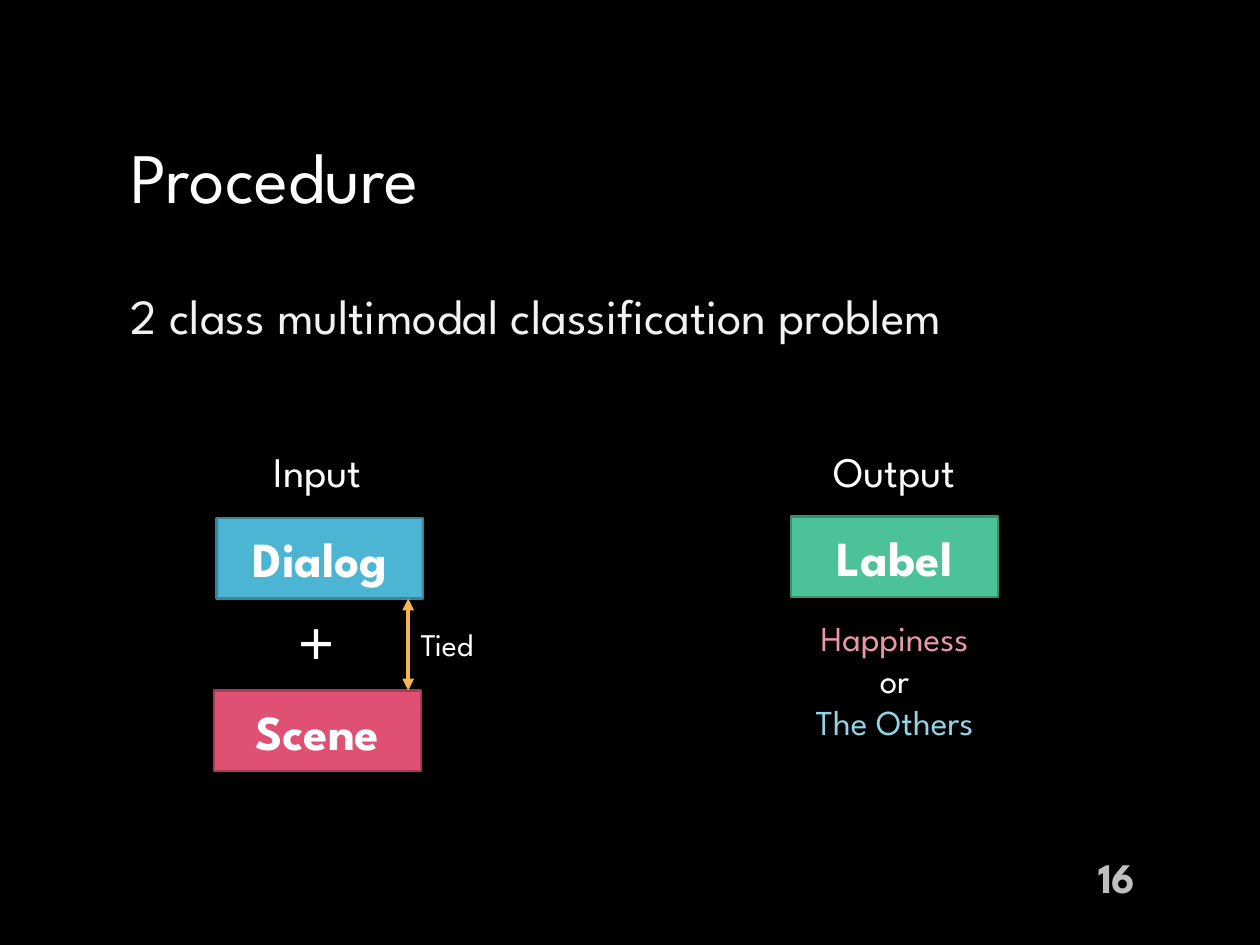
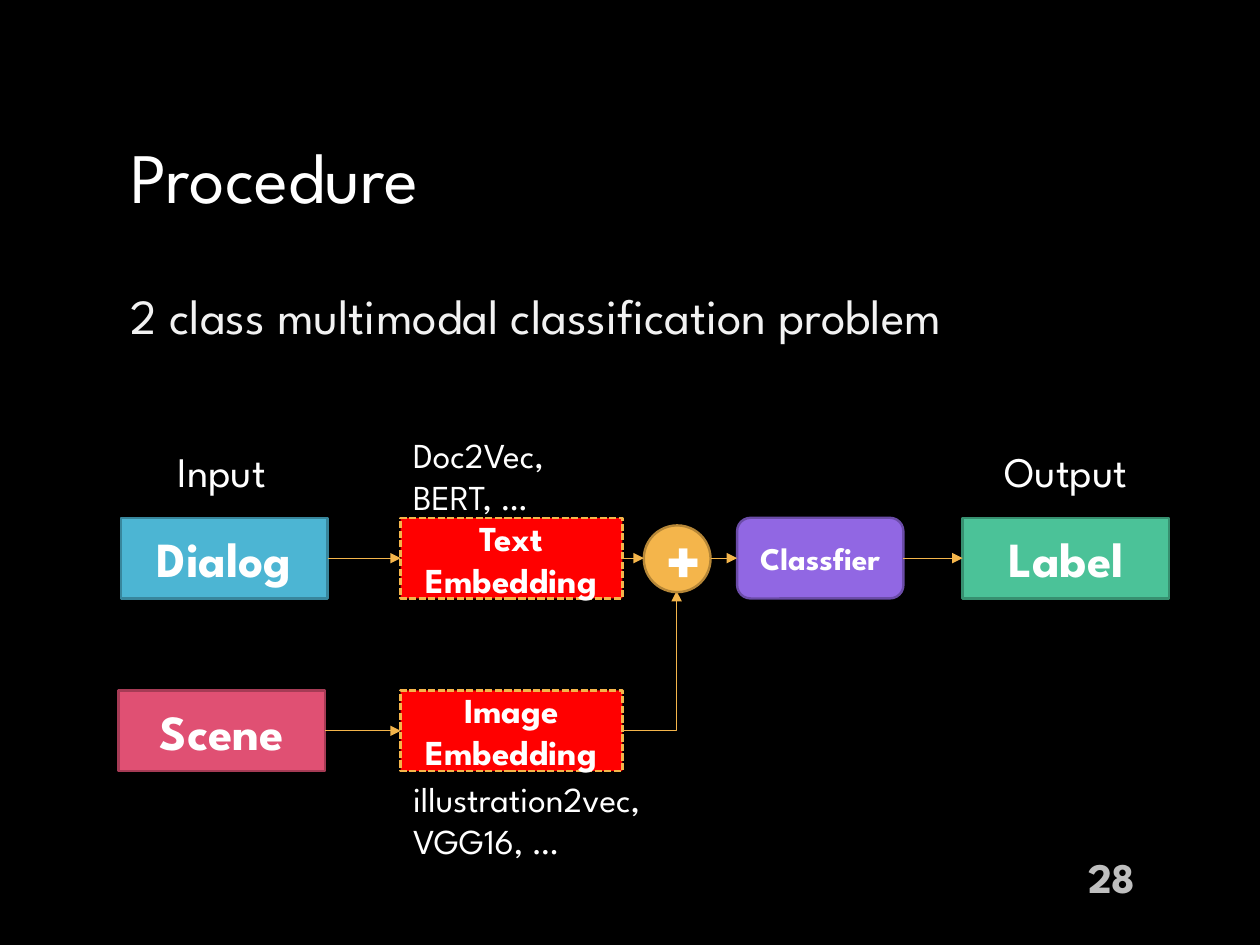
from lxml import etree
from pptx import Presentation
from pptx.dml.color import RGBColor
from pptx.enum.dml import MSO_LINE
from pptx.enum.shapes import MSO_CONNECTOR, MSO_SHAPE
from pptx.enum.text import MSO_ANCHOR, MSO_AUTO_SIZE, PP_ALIGN
from pptx.oxml.ns import qn
from pptx.util import Pt

PX = 9144  # EMU per px, 100 px to the inch
FONT = "League Spartan"
WHITE, BODY_TEXT, NUMBER_GREY = "FFFFFF", "F2F2F2", "BFBFBF"
BLUE, GREEN, PINK = ("4CB5D3", "38869C"), ("4BC298", "379070"), ("E05073", "A63B55")
ORANGE, PURPLE, RED = ("F4B54B", "B58637"), ("9167E3", "6B4CA8"), ("FF0000", "F4B54B")
ARROW = ORANGE[0]
LEFT, CENTER, RIGHT = PP_ALIGN.LEFT, PP_ALIGN.CENTER, PP_ALIGN.RIGHT
TOP, MIDDLE = MSO_ANCHOR.TOP, MSO_ANCHOR.MIDDLE
GROW = MSO_AUTO_SIZE.SHAPE_TO_FIT_TEXT
RECTANGLE, ROUNDED, OVAL = MSO_SHAPE.RECTANGLE, MSO_SHAPE.ROUNDED_RECTANGLE, MSO_SHAPE.OVAL
STRAIGHT, ELBOW = MSO_CONNECTOR.STRAIGHT, MSO_CONNECTOR.ELBOW
DASH = MSO_LINE.SQUARE_DOT
SITE_LEFT, SITE_RIGHT = 1, 3
color = RGBColor.from_string

BOX_WIDTH, BOX_HEIGHT = 164, 64
DIALOG_TOP, SCENE_TOP = 411, 548
DIALOG_MIDDLE, SCENE_MIDDLE = 443, 580


def add_text(slide, text, box, size, text_color=WHITE, bold=False, align=CENTER,
             anchor=TOP, preset=None, colors=None, dash=None, auto_size=None):
    """Add a text box, or a preset shape filled and outlined with colors."""
    left, top, width, height = (value * PX for value in box)
    if preset is None:
        shape = slide.shapes.add_textbox(left, top, width, height)
    else:
        shape = slide.shapes.add_shape(preset, left, top, width, height)
        shape.shadow.inherit = False
        shape.fill.solid()
        shape.fill.fore_color.rgb = color(colors[0])
        shape.line.color.rgb = color(colors[1])
        shape.line.width = Pt(1.35)
        if dash:
            shape.line.dash_style = dash
    frame = shape.text_frame
    frame.text = text
    frame.word_wrap = True
    frame.vertical_anchor = anchor
    if auto_size:
        frame.auto_size = auto_size
    for paragraph in frame.paragraphs:
        paragraph.alignment = align
        font = paragraph.runs[0].font
        font.name, font.size, font.bold = FONT, Pt(size), bold
        font.color.rgb = color(text_color)
    return shape


def add_arrow(slide, start, end, kind=STRAIGHT, width=0.75, ends=("tailEnd",)):
    connector = slide.shapes.add_connector(kind, *(value * PX for value in start + end))
    connector.line.color.rgb = color(ARROW)
    connector.line.width = Pt(width)
    line = connector.line._get_or_add_ln()
    for name in ends:
        etree.SubElement(line, qn(f"a:{name}"), type="triangle")
    etree.SubElement(connector._element.spPr, qn("a:effectLst"))
    return connector


presentation = Presentation()
presentation.slide_width, presentation.slide_height = 1000 * PX, 750 * PX

# Both slides: heading, page number, input boxes and output box
slides = []
for number, input_left, output_left, label_top in (("16", 172, 628, 410), ("28", 96, 764, 411)):
    slide = presentation.slides.add_slide(presentation.slide_layouts[6])
    slide.background.fill.solid()
    slide.background.fill.fore_color.rgb = color("000000")
    add_text(slide, "Procedure", (94, 94, 812, 90), 40.5, align=LEFT, anchor=MIDDLE)
    subtitle = add_text(slide, "2 class multimodal classification problem",
                        (94, 222, 812, 64), 28, BODY_TEXT, align=LEFT)
    subtitle.text_frame.paragraphs[0].space_before = Pt(5.6)
    subtitle.text_frame.paragraphs[0].space_after = Pt(6)
    add_text(slide, number, (781, 676, 130, 40), 24, NUMBER_GREY, bold=True,
             align=RIGHT, anchor=MIDDLE)
    for heading, left in (("Input", input_left + 8), ("Output", output_left + 10)):
        add_text(slide, heading, (left, 349, 144, 50), 24, auto_size=GROW)
    boxes = {}
    for name, left, top, colors in (("Dialog", input_left, DIALOG_TOP, BLUE),
                                    ("Label", output_left, label_top, GREEN),
                                    ("Scene", input_left - 2, SCENE_TOP, PINK)):
        boxes[name] = add_text(slide, name, (left, top, BOX_WIDTH, BOX_HEIGHT), 28, bold=True,
                               anchor=MIDDLE, preset=RECTANGLE, colors=colors)
    slides.append((slide, boxes))

# Slide 1: tied inputs and the two classes
slide, boxes = slides[0]
add_text(slide, "＋", (214, 486, 75, 50), 24, bold=True, auto_size=GROW)
add_text(slide, "Tied", (324, 491, 96, 40), 18, align=LEFT, auto_size=GROW)
add_arrow(slide, (324, 475), (324, SCENE_TOP), width=2.25, ends=("headEnd", "tailEnd"))
classes = add_text(slide, "Happiness\nor\nThe Others", (628, 484, 164, 111), 20, auto_size=GROW)
for paragraph, class_color in zip(classes.text_frame.paragraphs, ("EC96AB", WHITE, "94D3E5")):
    paragraph.runs[0].font.color.rgb = color(class_color)

# Slide 2: embeddings, fusion and classifier
slide, boxes = slides[1]
embeddings = {}
for source, kind, top, middle in (("Dialog", "Text", DIALOG_TOP, DIALOG_MIDDLE),
                                  ("Scene", "Image", SCENE_TOP, SCENE_MIDDLE)):
    embeddings[kind] = add_text(slide, f"{kind}\nEmbedding", (318, top, 176, BOX_HEIGHT), 20,
                                bold=True, anchor=MIDDLE, preset=RECTANGLE, colors=RED, dash=DASH)
    arrow = add_arrow(slide, (260, middle), (318, middle))
    arrow.begin_connect(boxes[source], SITE_RIGHT)
    arrow.end_connect(embeddings[kind], SITE_LEFT)

elbow = add_arrow(slide, (494, SCENE_MIDDLE), (537, 469), kind=ELBOW)
elbow._element.spPr.find(qn("a:prstGeom")).set("prst", "bentConnector2")
add_text(slide, "+", (511, 417, 53, 53), 40, bold=True, anchor=MIDDLE, preset=OVAL, colors=ORANGE)
classifier = add_text(slide, "Classfier", (585, DIALOG_TOP, 132, BOX_HEIGHT), 18, bold=True,
                      anchor=MIDDLE, preset=ROUNDED, colors=PURPLE)
for start, end, begin_shape, end_shape in ((494, 511, embeddings["Text"], None),
                                           (564, 585, None, classifier),
                                           (717, 764, classifier, boxes["Label"])):
    arrow = add_arrow(slide, (start, DIALOG_MIDDLE), (end, DIALOG_MIDDLE))
    if begin_shape:
        arrow.begin_connect(begin_shape, SITE_RIGHT)
    if end_shape:
        arrow.end_connect(end_shape, SITE_LEFT)

for models, top, width in (("Doc2Vec, BERT, …", 339, 176), ("illustration2vec, VGG16, …", 612, 220)):
    add_text(slide, models, (318, top, width, 77), 20, align=LEFT, auto_size=GROW)

presentation.save("out.pptx")
